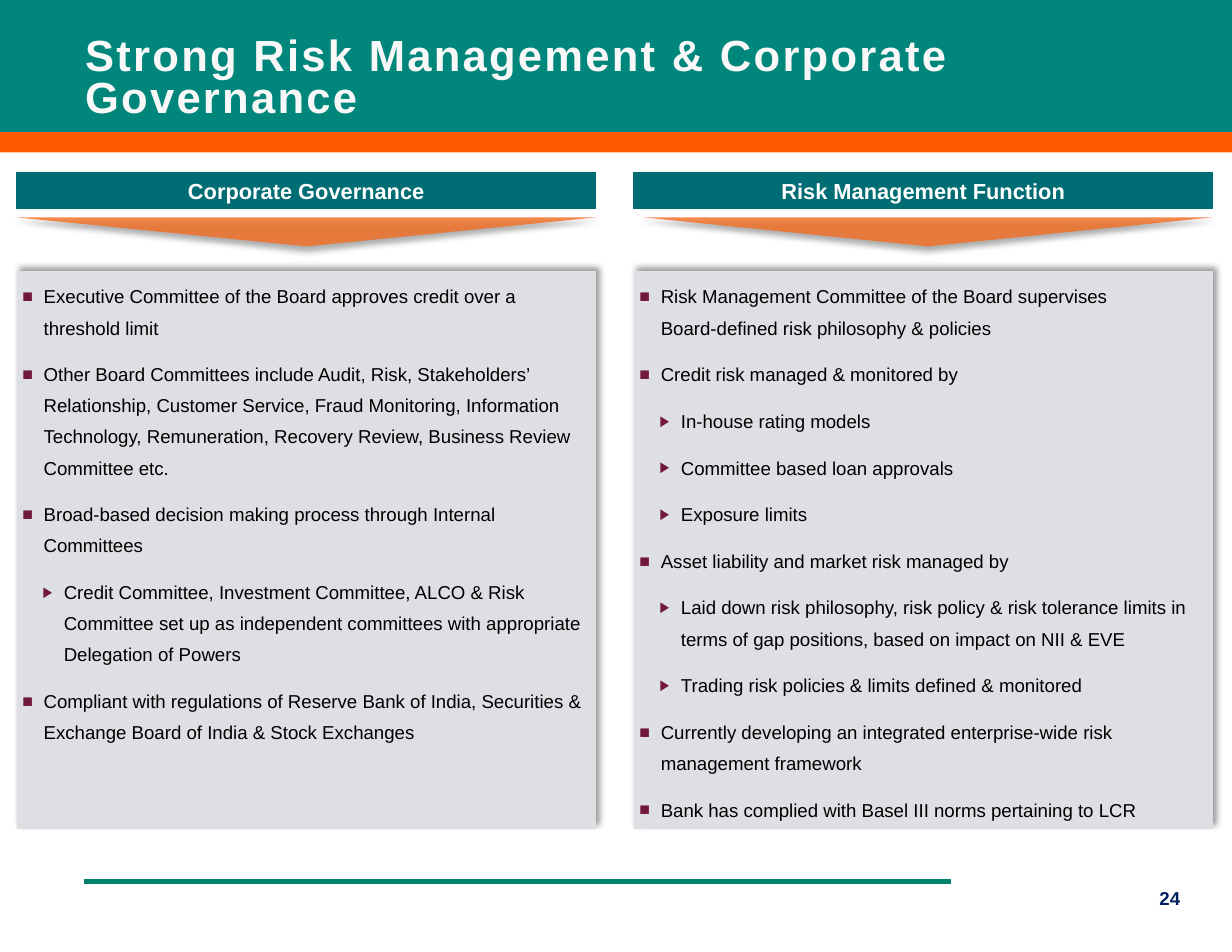
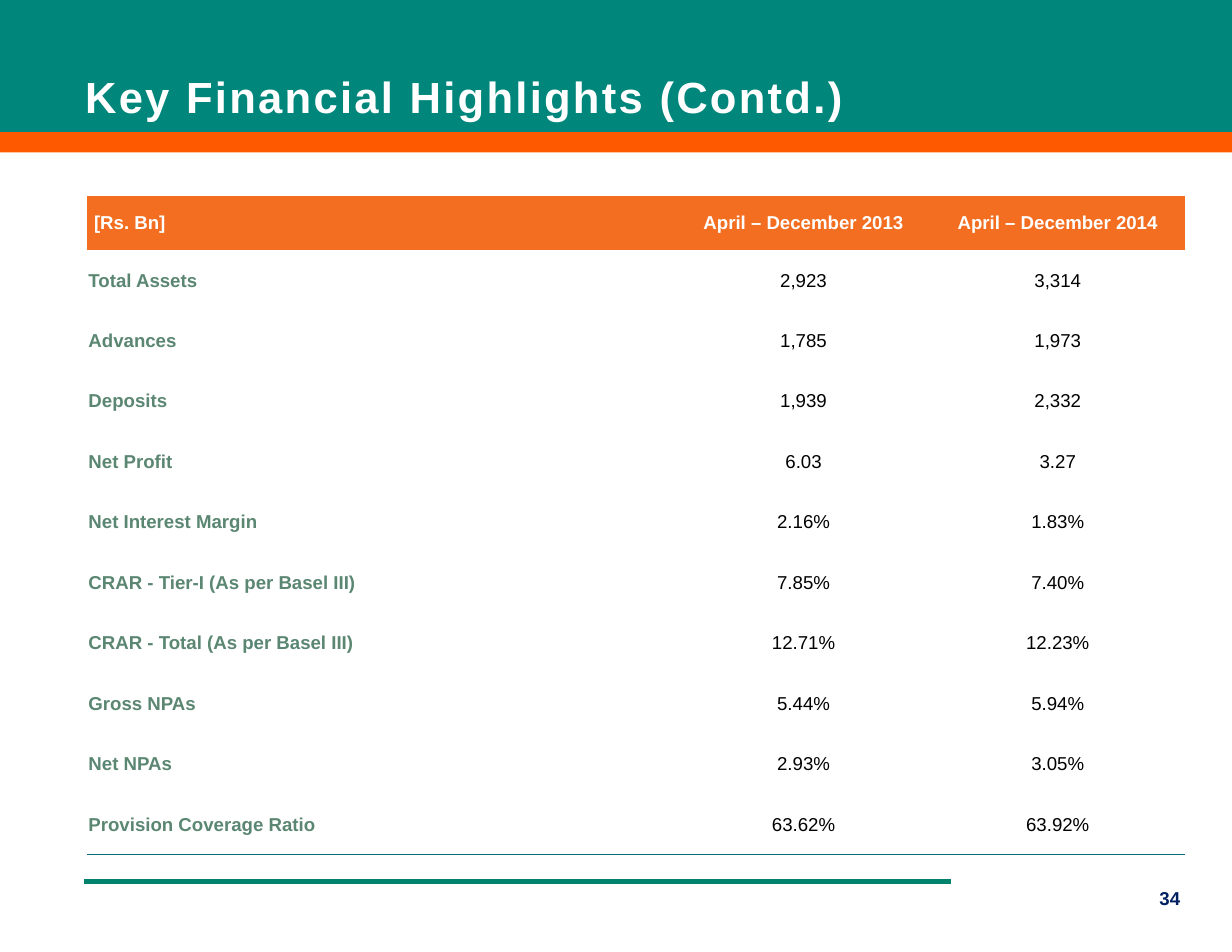
from lxml.etree import SubElement
from pptx import Presentation
from pptx.dml.color import RGBColor
from pptx.enum.shapes import MSO_CONNECTOR, MSO_SHAPE as Shape
from pptx.enum.text import MSO_ANCHOR as Anchor, PP_ALIGN as Align
from pptx.oxml import parse_xml
from pptx.oxml.ns import nsdecls, qn
from pptx.util import Inches, Pt

GOVERNANCE = [
    (0, "Executive Committee of the Board approves credit over a threshold limit"),
    (0, "Other Board Committees include Audit, Risk, Stakeholders’ Relationship, "
        "Customer Service, Fraud Monitoring, Information Technology, Remuneration, "
        "Recovery Review, Business Review Committee etc."),
    (0, "Broad-based decision making process through Internal Committees"),
    (1, "Credit Committee, Investment Committee, ALCO & Risk Committee set up as "
        "independent committees with appropriate Delegation of Powers"),
    (0, "Compliant with regulations of Reserve Bank of India, Securities & "
        "Exchange Board of India & Stock Exchanges"),
]
RISK = [
    (0, "Risk Management Committee of the Board supervises\n"
        "Board-defined risk philosophy & policies"),
    (0, "Credit risk managed & monitored by"),
    (1, "In-house rating models"),
    (1, "Committee based loan approvals"),
    (1, "Exposure limits"),
    (0, "Asset liability and market risk managed by"),
    (1, "Laid down risk philosophy, risk policy & risk tolerance limits in terms "
        "of gap positions, based on impact on NII & EVE"),
    (1, "Trading risk policies & limits defined & monitored"),
    (0, "Currently developing an integrated enterprise-wide risk management framework"),
    (0, "Bank has complied with Basel III norms pertaining to LCR"),
]
COLUMNS = [
    (0.15, "Corporate Governance", GOVERNANCE, 0.14, 5.19),
    (5.66, "Risk Management Function", RISK, 5.74, 5.09),
]
HIGHLIGHTS = [
    ("[Rs. Bn]", "April – December 2013", "April – December 2014"),
    ("Total Assets", "2,923", "3,314"),
    ("Advances", "1,785", "1,973"),
    ("Deposits", "1,939", "2,332"),
    ("Net Profit", "6.03", "3.27"),
    ("Net Interest Margin", "2.16%", "1.83%"),
    ("CRAR - Tier-I (As per Basel III)", "7.85%", "7.40%"),
    ("CRAR - Total (As per Basel III)", "12.71%", "12.23%"),
    ("Gross NPAs", "5.44%", "5.94%"),
    ("Net NPAs", "2.93%", "3.05%"),
    ("Provision Coverage Ratio", "63.62%", "63.92%"),
]

FONT = "Arial"
GREEN = RGBColor(0x00, 0x86, 0x7B)
ORANGE = RGBColor(0xFF, 0x59, 0x00)
RULE = RGBColor(0x00, 0x82, 0x6C)
TEAL = RGBColor(0x00, 0x6D, 0x75)
PANEL = RGBColor(0xDD, 0xDF, 0xE3)
ACCENT = RGBColor(0xF3, 0x6E, 0x20)
BULLET = RGBColor(0x70, 0x19, 0x3D)
LABEL = RGBColor(0x5B, 0x87, 0x72)
NAVY = RGBColor(0x00, 0x20, 0x60)
OFF_WHITE = RGBColor(0xF8, 0xF8, 0xF8)
WHITE = RGBColor(0xFF, 0xFF, 0xFF)
BLACK = RGBColor(0x00, 0x00, 0x00)

BULLETS = [("■", 95, 0.19), ("▶", 80, 0.37)]
HANGING = 0.19


def write(tf, text, size=12, color=BLACK, bold=False, align=Align.LEFT,
          line=None, space=0, tracking=0, level=None, new=False):
    p = tf.add_paragraph() if new else tf.paragraphs[0]
    p.text = text
    p.alignment = align
    if line:
        p.line_spacing = line
    p.space_before = p.space_after = Pt(space)
    for r in p.runs:
        f = r.font
        f.name, f.size, f.bold = FONT, Pt(size), bold
        f.color.rgb = color
        if tracking:
            r._r.get_or_add_rPr().set("spc", str(int(tracking * 100)))
    if level is not None:
        add_bullet(p, level)


def add_bullet(p, level):
    char, percent, margin = BULLETS[level]
    p.level = level
    pPr = p._p.get_or_add_pPr()
    pPr.set("marL", str(Inches(margin)))
    pPr.set("indent", str(-Inches(HANGING)))
    SubElement(SubElement(pPr, qn("a:buClr")), qn("a:srgbClr"), val=str(BULLET))
    SubElement(pPr, qn("a:buSzPct"), val=str(percent * 1000))
    SubElement(pPr, qn("a:buFont"), typeface=FONT)
    SubElement(pPr, qn("a:buChar"), char=char)


def set_frame(tf, insets, anchor=Anchor.TOP):
    tf.word_wrap = True
    tf.vertical_anchor = anchor
    tf.margin_left, tf.margin_top, tf.margin_right, tf.margin_bottom = map(Inches, insets)


def add_box(s, kind, box, fill, line=None, shadow_angle=None):
    sp = s.shapes.add_shape(kind, *map(Inches, box))
    sp.fill.solid()
    sp.fill.fore_color.rgb = fill
    if line:
        sp.line.color.rgb = line
        sp.line.width = Pt(0.5)
    else:
        sp.line.fill.background()
    sp.shadow.inherit = False
    if shadow_angle is not None:
        effects = sp._element.spPr.find(qn("a:effectLst"))
        effects.append(parse_xml(
            f'<a:outerShdw {nsdecls("a")} blurRad="{Pt(4)}" dist="{Pt(3)}" '
            f'dir="{shadow_angle * 60000}" algn="ctr" rotWithShape="0">'
            '<a:srgbClr val="000000"><a:alpha val="40000"/></a:srgbClr></a:outerShdw>'))
    return sp


def add_textbox(s, box, insets, text, anchor=Anchor.TOP, **style):
    tf = s.shapes.add_textbox(*map(Inches, box)).text_frame
    set_frame(tf, insets, anchor)
    write(tf, text, **style)


def add_slide(prs, title, number, title_color=WHITE):
    s = prs.slides.add_slide(prs.slide_layouts[6])
    add_box(s, Shape.RECTANGLE, (0, -0.02, 11, 1.2), GREEN)
    add_box(s, Shape.RECTANGLE, (0, 1.18, 11, 0.18), ORANGE)
    rule = s.shapes.add_connector(MSO_CONNECTOR.STRAIGHT, Inches(0.75), Inches(7.87),
                                  Inches(8.49), Inches(7.87))
    rule.line.color.rgb = RULE
    rule.line.width = Pt(3)
    SubElement(rule._element.spPr, qn("a:effectLst"))
    add_textbox(s, (0.76, 0.44, 9.61, 0.71), (0, 0.06, 0, 0.06), title, Anchor.BOTTOM,
                size=28, color=title_color, bold=True, line=0.8, tracking=1.5)
    add_textbox(s, (10.22, 7.92, 0.47, 0.28), (0, 0, 0.02, 0.02), number,
                color=NAVY, bold=True, align=Align.CENTER)
    return s


def add_column(s, left, heading, points, arrow_left, arrow_width):
    header = add_box(s, Shape.RECTANGLE, (left, 1.54, 5.17, 0.32), TEAL, line=TEAL)
    set_frame(header.text_frame, (0, 0.02, 0, 0.02), Anchor.MIDDLE)
    write(header.text_frame, heading, size=14, color=WHITE, bold=True, align=Align.CENTER)

    panel = add_box(s, Shape.RECTANGLE, (left, 2.42, 5.17, 4.98), PANEL, shadow_angle=315)
    set_frame(panel.text_frame, [0.05] * 4)
    for i, (level, text) in enumerate(points):
        write(panel.text_frame, text, line=Pt(20), space=5, level=level, new=i > 0)

    arrow = add_box(s, Shape.ISOSCELES_TRIANGLE, (arrow_left, 1.94, arrow_width, 0.26),
                    ACCENT, shadow_angle=90)
    arrow.rotation = 180
    color = arrow._element.spPr.find(qn("a:solidFill"))[0]
    SubElement(color, qn("a:alpha"), val="80000")


def add_bottom_border(cell):
    cell._tc.get_or_add_tcPr().insert(0, parse_xml(
        f'<a:lnB {nsdecls("a")} w="{Pt(0.5)}"><a:solidFill>'
        f'<a:srgbClr val="{TEAL}"/></a:solidFill></a:lnB>'))


def add_highlights(s, rows):
    widths = [5.26, 2.27, 2.27]
    heights = [0.48] + [0.54] * (len(rows) - 1)
    frame = s.shapes.add_table(len(rows), len(widths), Inches(0.78), Inches(1.75),
                               Inches(sum(widths)), Inches(sum(heights)))
    table = frame.table
    table.first_row = table.horz_banding = False
    style_id = next(frame._element.iter(qn("a:tableStyleId")))
    style_id.text = "{2D5ABB26-0587-4C30-8999-92F81FD0307C}"
    for column, width in zip(table.columns, widths):
        column.width = Inches(width)
    for i, values in enumerate(rows):
        table.rows[i].height = Inches(heights[i])
        for j, value in enumerate(values):
            cell = table.cell(i, j)
            cell.vertical_anchor = Anchor.MIDDLE
            cell.margin_left = Inches(0.06 if i == j == 0 else 0.01)
            cell.margin_top = cell.margin_right = Inches(0.01)
            cell.margin_bottom = 0
            if i == 0:
                cell.fill.solid()
                cell.fill.fore_color.rgb = ACCENT
            else:
                cell.fill.background()
            write(cell.text_frame, value, bold=i == 0 or j == 0,
                  color=WHITE if i == 0 else LABEL if j == 0 else BLACK,
                  align=Align.CENTER if j else Align.LEFT)
            if i == len(rows) - 1:
                add_bottom_border(cell)


def main():
    prs = Presentation()
    prs.slide_width, prs.slide_height = Inches(11), Inches(8.5)
    s = add_slide(prs, "Strong Risk Management & Corporate Governance", "24", OFF_WHITE)
    for column in COLUMNS:
        add_column(s, *column)
    s = add_slide(prs, "Key Financial Highlights (Contd.)", "34")
    add_highlights(s, HIGHLIGHTS)
    prs.save("out.pptx")


if __name__ == "__main__":
    main()
